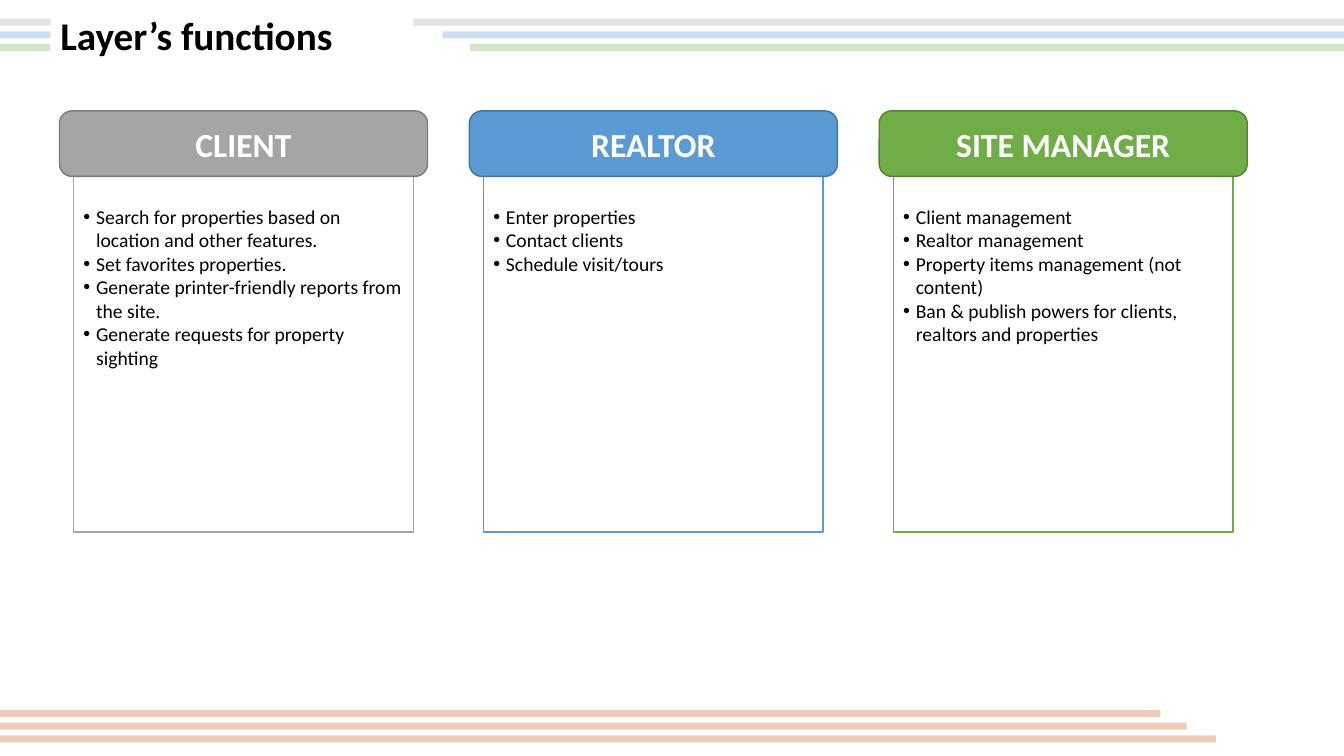
from lxml import etree
from pptx import Presentation
from pptx.dml.color import RGBColor
from pptx.enum.shapes import MSO_CONNECTOR, MSO_SHAPE
from pptx.enum.text import MSO_ANCHOR, PP_ALIGN
from pptx.oxml.ns import qn
from pptx.util import Inches, Pt

STRAIGHT = MSO_CONNECTOR.STRAIGHT
RECTANGLE, ROUNDED = MSO_SHAPE.RECTANGLE, MSO_SHAPE.ROUNDED_RECTANGLE
TOP, MIDDLE = MSO_ANCHOR.TOP, MSO_ANCHOR.MIDDLE
LEFT, CENTER = PP_ALIGN.LEFT, PP_ALIGN.CENTER

FONT = "Calibri"
BLACK, WHITE = "000000", "FFFFFF"
GRAY, BLUE, GREEN, ORANGE = "A5A5A5", "5B9BD5", "70AD47", "C55A11"
SLIDE_WIDTH, SLIDE_HEIGHT = 13.33, 7.5
STRIPE_GAP = 0.125
COLUMN_WIDTH, COLUMN_STEP = 3.65, 4.065

# Heading, fill, outline, functions
LAYERS = [
    ("CLIENT", GRAY, "7A7A7A", [
        "Search for properties based on location and other features.",
        "Set favorites properties.",
        "Generate printer-friendly reports from the site.",
        "Generate requests for property sighting",
    ]),
    ("REALTOR", BLUE, "43739E", [
        "Enter properties",
        "Contact clients",
        "Schedule visit/tours",
    ]),
    ("SITE MANAGER", GREEN, "538035", [
        "Client management",
        "Realtor management",
        "Property items management (not content)",
        "Ban & publish powers for clients, realtors and properties",
    ]),
]


def rgb(value):
    return RGBColor.from_string(value)


def add_stripe(slide, start, end, y, color):
    stripe = slide.shapes.add_connector(
        STRAIGHT, Inches(start), Inches(y), Inches(end), Inches(y))
    stripe.line.width = Pt(5)
    stripe.line.color.rgb = rgb(color)
    # 30 % opacity, no shadow
    properties = stripe._element.spPr
    tint = properties.find(".//" + qn("a:srgbClr"))
    etree.SubElement(tint, qn("a:alpha"), val="30000")
    etree.SubElement(properties, qn("a:effectLst"))


def add_box(slide, kind, left, top, width, height, fill, outline):
    box = slide.shapes.add_shape(
        kind, Inches(left), Inches(top), Inches(width), Inches(height))
    box.shadow.inherit = False
    box.fill.solid()
    box.fill.fore_color.rgb = rgb(fill)
    box.line.color.rgb = rgb(outline)
    box.line.width = Pt(1)
    return box


def write(frame, text, size, color, align, anchor, bold=False):
    frame.word_wrap = True
    frame.vertical_anchor = anchor
    frame.text = text
    for paragraph in frame.paragraphs:
        paragraph.alignment = align
        for run in paragraph.runs:
            run.font.name = FONT
            run.font.size = Pt(size)
            run.font.bold = bold
            run.font.color.rgb = rgb(color)


def add_bullet(paragraph):
    properties = paragraph._p.get_or_add_pPr()
    indent = Inches(0.125)
    properties.set("marL", str(indent))
    properties.set("indent", str(-indent))
    etree.SubElement(properties, qn("a:buFont"), typeface="Arial")
    etree.SubElement(properties, qn("a:buChar"), char="•")


def add_header(slide, left, top, width, height):
    # Stripes on both sides of the title
    ends = zip((GRAY, BLUE, GREEN), (4.1, 4.39, 4.66))
    for row, (color, stripe_end) in enumerate(ends):
        y = top + 0.11 + row * STRIPE_GAP
        add_stripe(slide, SLIDE_WIDTH, stripe_end, y, color)
        add_stripe(slide, left, 0, y, color)
    # Title
    title = slide.shapes.add_textbox(
        Inches(left), Inches(top), Inches(width), Inches(height))
    write(title.text_frame, "Layer’s functions", 28, BLACK, LEFT, MIDDLE, True)
    title.text_frame.paragraphs[0].line_spacing = 0.9


def add_footer(slide, top):
    for row, stripe_end in enumerate((11.51, 11.77, 12.06)):
        add_stripe(slide, 0, stripe_end, top + row * STRIPE_GAP, ORANGE)


def add_layer(slide, left, top, width, height, layer):
    heading, fill, outline, functions = layer
    heading_height, inset = 0.65, 0.14
    # List of functions
    body = add_box(slide, RECTANGLE, left + inset, top + heading_height,
                   width - 2 * inset, height - heading_height, WHITE, fill)
    write(body.text_frame, "\n".join(functions), 14, BLACK, LEFT, TOP)
    body.text_frame.margin_top = Inches(0.28)
    for paragraph in body.text_frame.paragraphs:
        add_bullet(paragraph)
    # Heading
    banner = add_box(slide, ROUNDED, left, top, width, heading_height,
                     fill, outline)
    banner.adjustments[0] = 0.19
    write(banner.text_frame, heading, 24, WHITE, CENTER, MIDDLE, True)


def main():
    deck = Presentation()
    deck.slide_width = Inches(SLIDE_WIDTH)
    deck.slide_height = Inches(SLIDE_HEIGHT)
    slide = deck.slides.add_slide(deck.slide_layouts[6])
    add_footer(slide, 7.08)
    add_header(slide, 0.5, 0.11, 3.95, 0.53)
    for column, layer in enumerate(LAYERS):
        add_layer(slide, 0.59 + column * COLUMN_STEP, 1.1,
                  COLUMN_WIDTH, 4.18, layer)
    deck.save("out.pptx")


if __name__ == "__main__":
    main()
